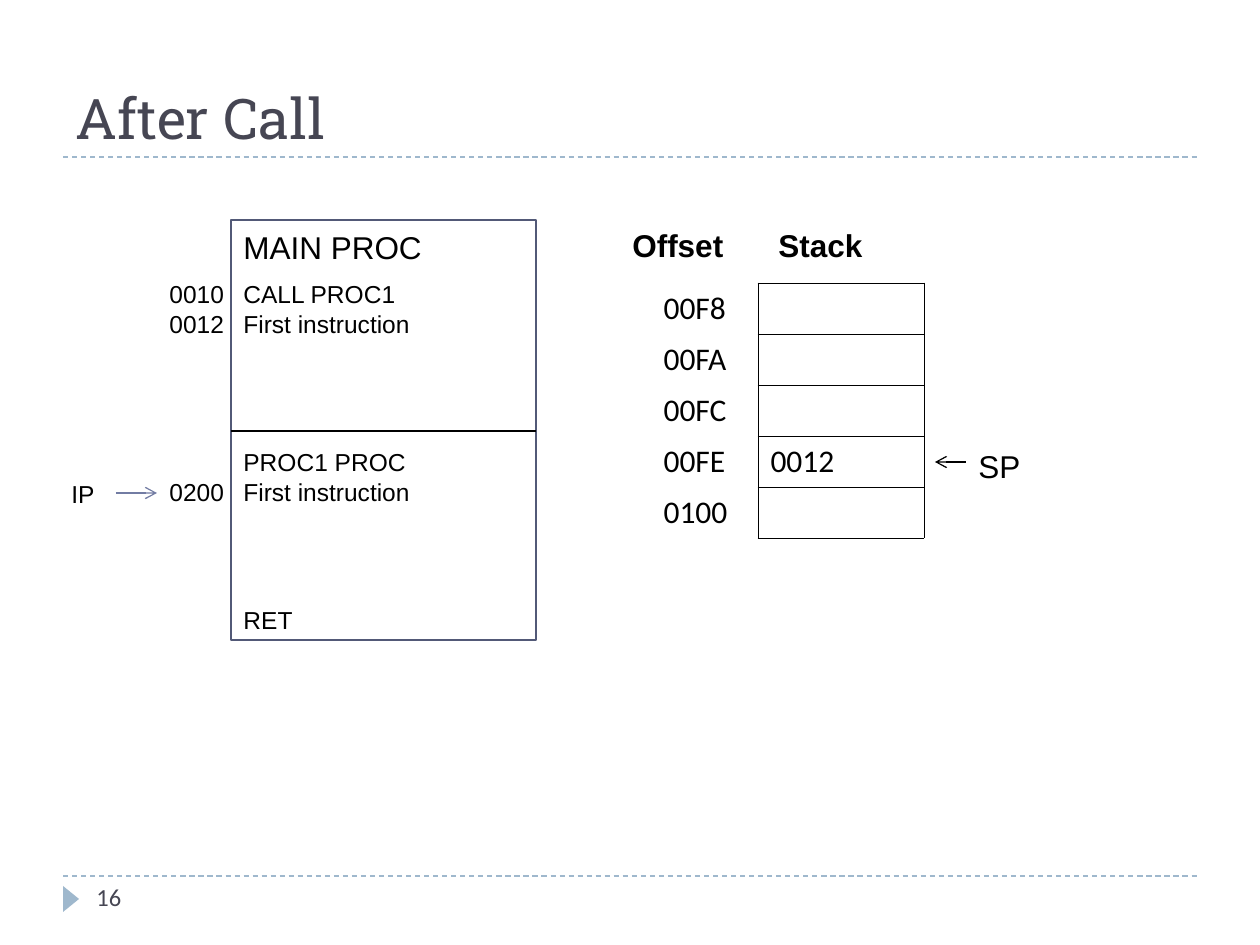
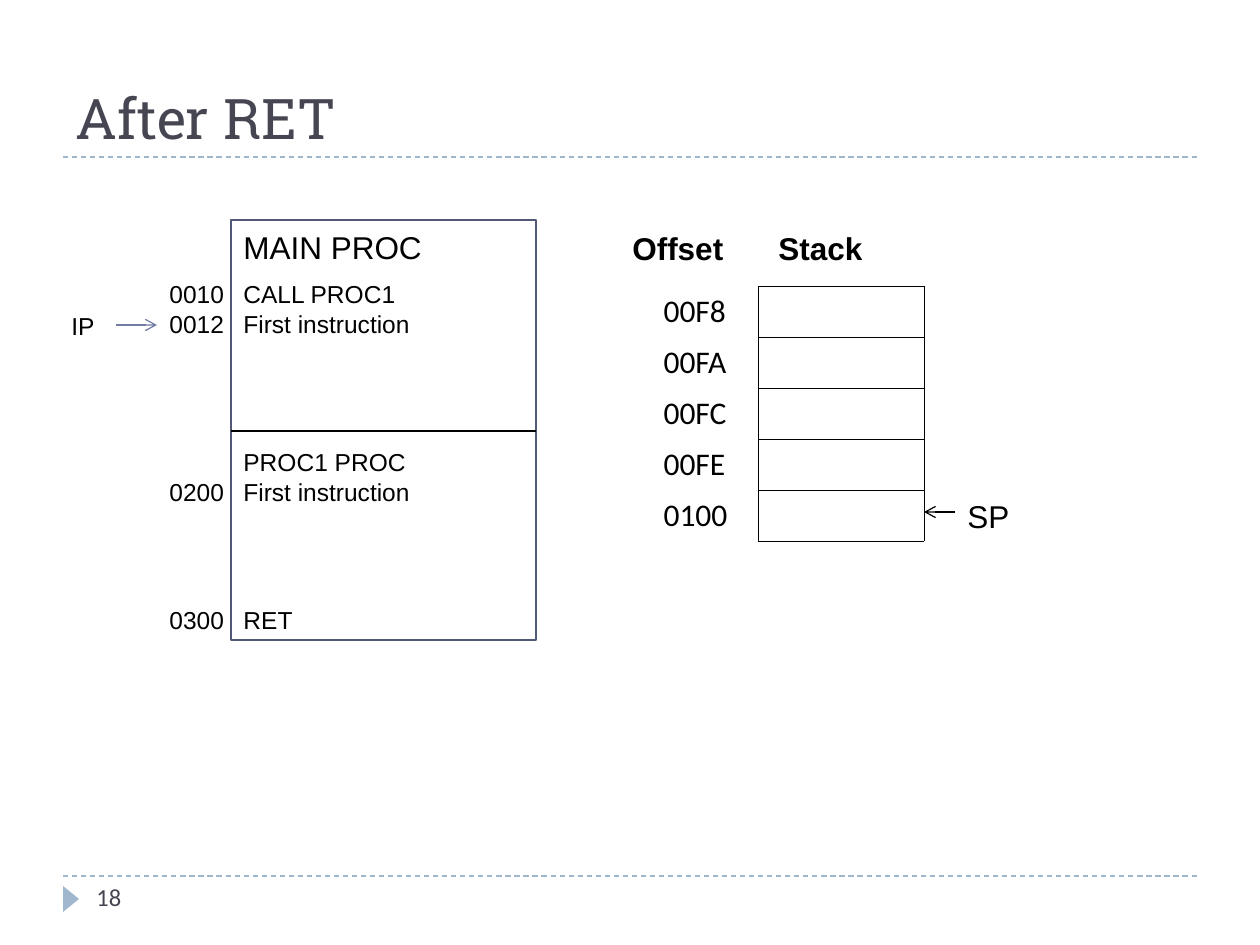
import pptx
import pptx.dml.color
import pptx.enum.dml
import pptx.enum.shapes
import pptx.enum.text
import pptx.oxml.ns
import pptx.util
from lxml import etree

BLACK, WHITE = "000000", "FFFFFF"
INK, ACCENT, FRAME, POINTER = "464653", "9FB8CD", "525977", "727CA3"
EMU_PER_PX = 914400 / 126
OFFSETS = ["00F8", "00FA", "00FC", "00FE", "0100"]


def px(length):
    return pptx.util.Emu(round(length * EMU_PER_PX))


def rgb(value):
    return pptx.dml.color.RGBColor.from_string(value)


def add_xml(parent, tag, **attributes):
    return etree.SubElement(parent, pptx.oxml.ns.qn(tag), attributes)


class StackDeck:
    """Holds the style and the current slide, and draws each kind of element."""

    def __init__(self):
        self.presentation = pptx.Presentation()
        self.presentation.slide_width = px(1260)
        self.presentation.slide_height = px(945)
        self.slide = None

    def new_slide(self, title, number):
        layout = self.presentation.slide_layouts[6]
        self.slide = self.presentation.slides.add_slide(layout)
        for rule_y in (876, 157):
            self.line(63, 1197, rule_y, ACCENT, dashed=True)
        marker = self.shape("ISOSCELES_TRIANGLE", 58, 891, 26, 16, ACCENT)
        marker.rotation = 90
        heading = self.text([title], 63, 21, 1134, 136, 32, "Roboto Slab", INK)
        heading.vertical_anchor = pptx.enum.text.MSO_ANCHOR.BOTTOM
        self.text([number], 84, 876, 273, 50, 14, "Calibri", INK)

    def shape(self, kind, left, top, width, height, fill, outline=None):
        preset = getattr(pptx.enum.shapes.MSO_SHAPE, kind)
        shape = self.slide.shapes.add_shape(
            preset, px(left), px(top), px(width), px(height))
        shape.shadow.inherit = False
        shape.fill.solid()
        shape.fill.fore_color.rgb = rgb(fill)
        if outline:
            shape.line.color.rgb = rgb(outline)
            shape.line.width = pptx.util.Pt(1.5)
        else:
            shape.line.fill.background()
        return shape

    def line(self, start_x, end_x, y, color, dashed=False, arrow=False):
        connector = self.slide.shapes.add_connector(
            pptx.enum.shapes.MSO_CONNECTOR.STRAIGHT,
            px(start_x), px(y), px(end_x), px(y))
        connector.line.color.rgb = rgb(color)
        connector.line.width = pptx.util.Pt(0.75)
        if dashed:
            connector.line.dash_style = pptx.enum.dml.MSO_LINE.DASH
        if arrow:
            add_xml(connector.line._get_or_add_ln(), "a:tailEnd", type="arrow")
        add_xml(connector._element.spPr, "a:effectLst")

    def style_text(self, text_frame, size, font, color, bold=False):
        for paragraph in text_frame.paragraphs:
            for run in paragraph.runs:
                run.font.size = pptx.util.Pt(size)
                run.font.name = font
                run.font.bold = bold
                run.font.color.rgb = rgb(color)

    def text(self, lines, left, top, width, height, size=14, font="Arial",
             color=BLACK, bold=False):
        box = self.slide.shapes.add_textbox(
            px(left), px(top), px(width), px(height))
        text_frame = box.text_frame
        text_frame.word_wrap = True
        text_frame.text = "\n".join(lines)
        self.style_text(text_frame, size, font, color, bold)
        return text_frame

    def cell_border(self, cell, sides):
        properties = cell._tc.get_or_add_tcPr()
        for side in sides:
            border = add_xml(properties, f"a:ln{side}", w=str(pptx.util.Pt(0.45)))
            add_xml(add_xml(border, "a:solidFill"), "a:srgbClr", val=BLACK)

    def stack_table(self, top, values):
        for heading, left in (("Offset", 620), ("Stack", 766)):
            self.text([heading], left, top - 63, 126, 50, 18, bold=True)
        table = self.slide.shapes.add_table(
            len(OFFSETS), 2, px(651), px(top), px(273), px(255)).table
        table.first_row = table.horz_banding = False
        for column, width in zip(table.columns, (107, 166)):
            column.width = px(width)
        for row, offset in enumerate(OFFSETS):
            for column, content in enumerate((offset, values.get(offset, ""))):
                cell = table.cell(row, column)
                cell.text = content
                self.style_text(cell.text_frame, 18, "Calibri", BLACK)
                self.cell_border(cell, "LRTB" if column else "R")
                cell.fill.background()

    def program(self):
        self.shape("RECTANGLE", 231, 220, 305, 420, WHITE, FRAME)
        self.line(231, 536, 431, BLACK)
        self.text(["MAIN PROC"], 231, 222, 242, 50, 18)
        self.text(["CALL PROC1", "First instruction"], 231, 273, 262, 72)
        self.text(["PROC1 PROC", "First instruction"], 231, 441, 262, 72)
        self.text(["RET"], 231, 599, 121, 43)
        self.address(["0010", "0012"], 273)
        self.address(["0200"], 471)

    def address(self, lines, top):
        self.text(lines, 157, top, 105, 43 * len(lines))

    def instruction_pointer(self, y):
        self.line(116, 157, y, POINTER, arrow=True)
        self.text(["IP"], 59, y - 20, 60, 43)

    def stack_pointer(self, tip_x, y):
        self.line(tip_x + 31, tip_x, y, BLACK, arrow=True)
        self.text(["SP"], tip_x + 31, y - 21, 73, 50, 18)


def main():
    deck = StackDeck()

    deck.new_slide("After Call", "16")
    deck.program()
    deck.instruction_pointer(493)
    deck.stack_table(283, {"00FE": "0012"})
    deck.stack_pointer(935, 462)

    deck.new_slide("After RET", "18")
    deck.program()
    deck.address(["0300"], 599)
    deck.instruction_pointer(325)
    deck.stack_table(286, {})
    deck.stack_pointer(924, 512)

    deck.presentation.save("out.pptx")


if __name__ == "__main__":
    main()
